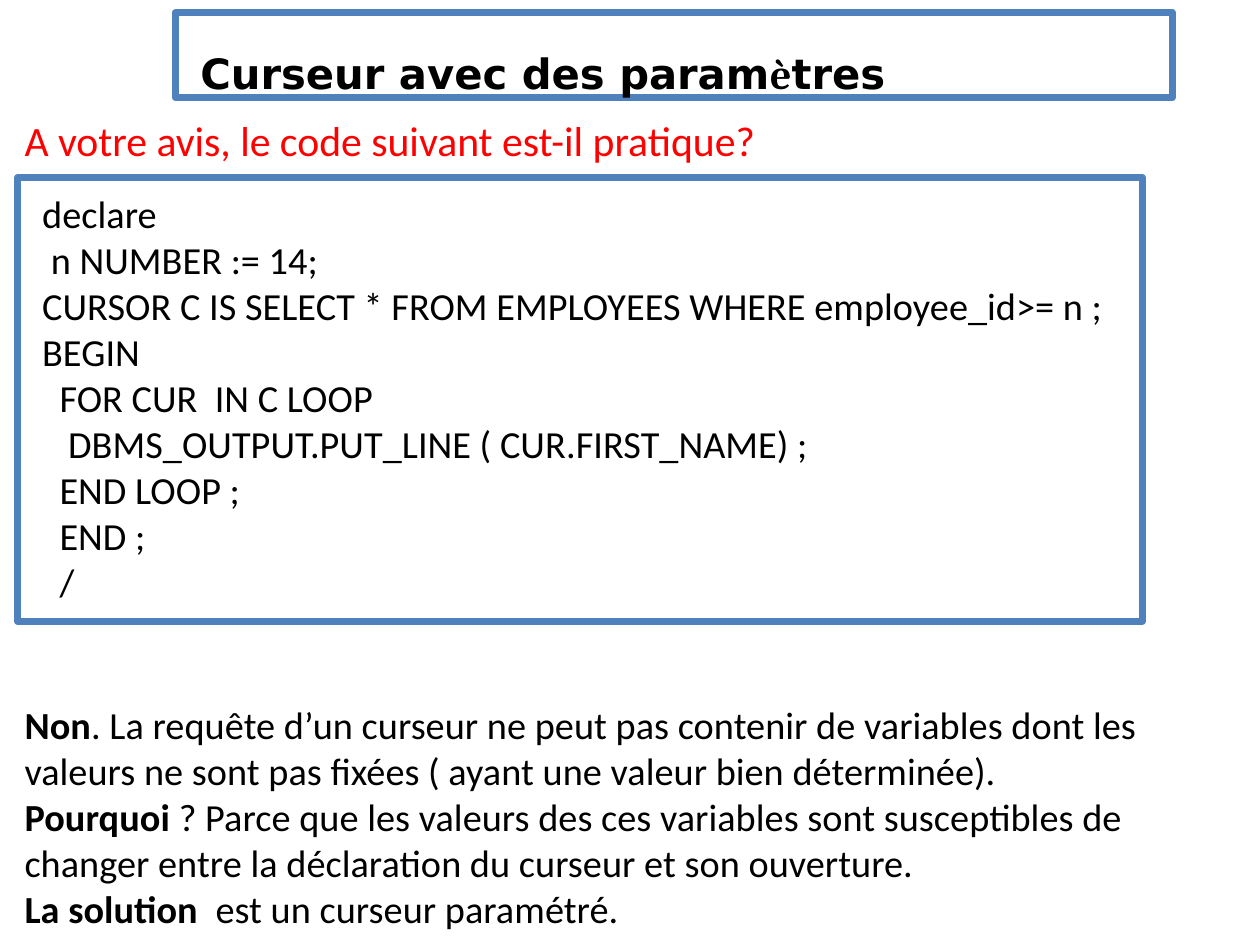
"""Build the slide on cursors with parameters."""
from dataclasses import dataclass

from pptx import Presentation
from pptx.dml.color import RGBColor
from pptx.enum.shapes import MSO_SHAPE
from pptx.enum.text import MSO_ANCHOR, MSO_AUTO_SIZE, PP_ALIGN
from pptx.util import Inches, Pt

RECTANGLE = MSO_SHAPE.RECTANGLE
TOP, MIDDLE = MSO_ANCHOR.TOP, MSO_ANCHOR.MIDDLE
GROW, FIXED = MSO_AUTO_SIZE.SHAPE_TO_FIT_TEXT, MSO_AUTO_SIZE.NONE
LEFT = PP_ALIGN.LEFT
TITLE_ONLY = 5
COLOURS = {"paper": "FFFFFF", "frame": "4F81BD", "ink": "000000", "question": "FF0000"}


@dataclass(frozen=True)
class Span:
    """A stretch of text in one style."""
    text: str
    bold: bool = False
    font: str = "Calibri"


@dataclass(frozen=True)
class Box:
    """A place for text, in inches."""
    left: float
    top: float
    width: float
    height: float
    paras: list[list[Span]]
    size: float = 11
    colour: str = "ink"


TITLE = Box(0.7, 0.05, 3.98, 0.34, [[
    Span("Curseur avec des param", True, "DejaVu Sans"),
    Span("è", True, "Cambria"),
    Span("tres", True, "DejaVu Sans"),
]], size=12)

CODE_LINES = """declare
 n NUMBER := 14;
CURSOR C IS SELECT * FROM EMPLOYEES WHERE employee_id>= n ;
BEGIN
  FOR CUR  IN C LOOP
   DBMS_OUTPUT.PUT_LINE ( CUR.FIRST_NAME) ;
  END LOOP ;
  END ;
  /""".splitlines()
CODE = Box(0.07, 0.71, 4.49, 1.77, [[Span(line)] for line in CODE_LINES])

QUESTION = Box(0, 0.41, 3.77, 0.3, [
    [Span("A votre avis, le code suivant est-il pratique?")],
], size=12, colour="question")

ANSWER = Box(0, 2.75, 4.96, 1.03, [
    [Span("Non", True),
     Span(". La requête d’un curseur ne peut pas contenir de variables dont les "
          "valeurs ne sont pas fixées ( ayant une valeur bien déterminée).")],
    [Span("Pourquoi ", True),
     Span("? Parce que les valeurs des ces variables sont susceptibles de changer "
          "entre la déclaration du curseur et son ouverture.")],
    [Span("La solution  ", True), Span("est un curseur paramétré.")],
])


def colour_of(name: str) -> RGBColor:
    """Look up a named colour."""
    return RGBColor.from_string(COLOURS[name])


def place_of(box: Box) -> list[int]:
    """Give the left, top, width and height of a box."""
    return [Inches(value) for value in (box.left, box.top, box.width, box.height)]


def write_span(para, text: str, *, bold: bool, font: str, size: float, colour: str) -> None:
    """Add a formatted run to a paragraph."""
    run = para.add_run()
    run.text = text
    run.font.name = font
    run.font.size = Pt(size)
    run.font.bold = bold
    run.font.color.rgb = colour_of(colour)


def write_box(shape, box: Box, anchor: MSO_ANCHOR = TOP, fit: MSO_AUTO_SIZE = GROW,
              margin_top: float = 0.05, margin_bottom: float = 0.05) -> None:
    """Fill a shape with the paragraphs of a box."""
    frame = shape.text_frame
    frame.word_wrap = True
    frame.auto_size = fit
    frame.vertical_anchor = anchor
    frame.margin_left = frame.margin_right = Inches(0.1)
    frame.margin_top = Inches(margin_top)
    frame.margin_bottom = Inches(margin_bottom)
    for index, spans in enumerate(box.paras):
        para = frame.add_paragraph() if index else frame.paragraphs[0]
        para.alignment = LEFT
        for span in spans:
            write_span(para, span.text, bold=span.bold, font=span.font,
                       size=box.size, colour=box.colour)


def frame_shape(shape) -> None:
    """Give a shape a white fill and a blue outline."""
    shape.fill.solid()
    shape.fill.fore_color.rgb = colour_of("paper")
    shape.line.color.rgb = colour_of("frame")
    shape.line.width = Pt(2)


def main() -> None:
    """Build and save the deck."""
    deck = Presentation()
    deck.slide_width, deck.slide_height = Inches(5.03), Inches(3.78)
    page = deck.slides.add_slide(deck.slide_layouts[TITLE_ONLY])

    code = page.shapes.add_shape(RECTANGLE, *place_of(CODE))
    code.shadow.inherit = False
    frame_shape(code)
    write_box(code, CODE)

    title = page.shapes.title
    title.left, title.top, title.width, title.height = place_of(TITLE)
    frame_shape(title)
    write_box(title, TITLE, MIDDLE, FIXED, margin_top=0.14, margin_bottom=0)

    for box in (QUESTION, ANSWER):
        write_box(page.shapes.add_textbox(*place_of(box)), box)

    deck.save("out.pptx")


if __name__ == "__main__":
    main()
